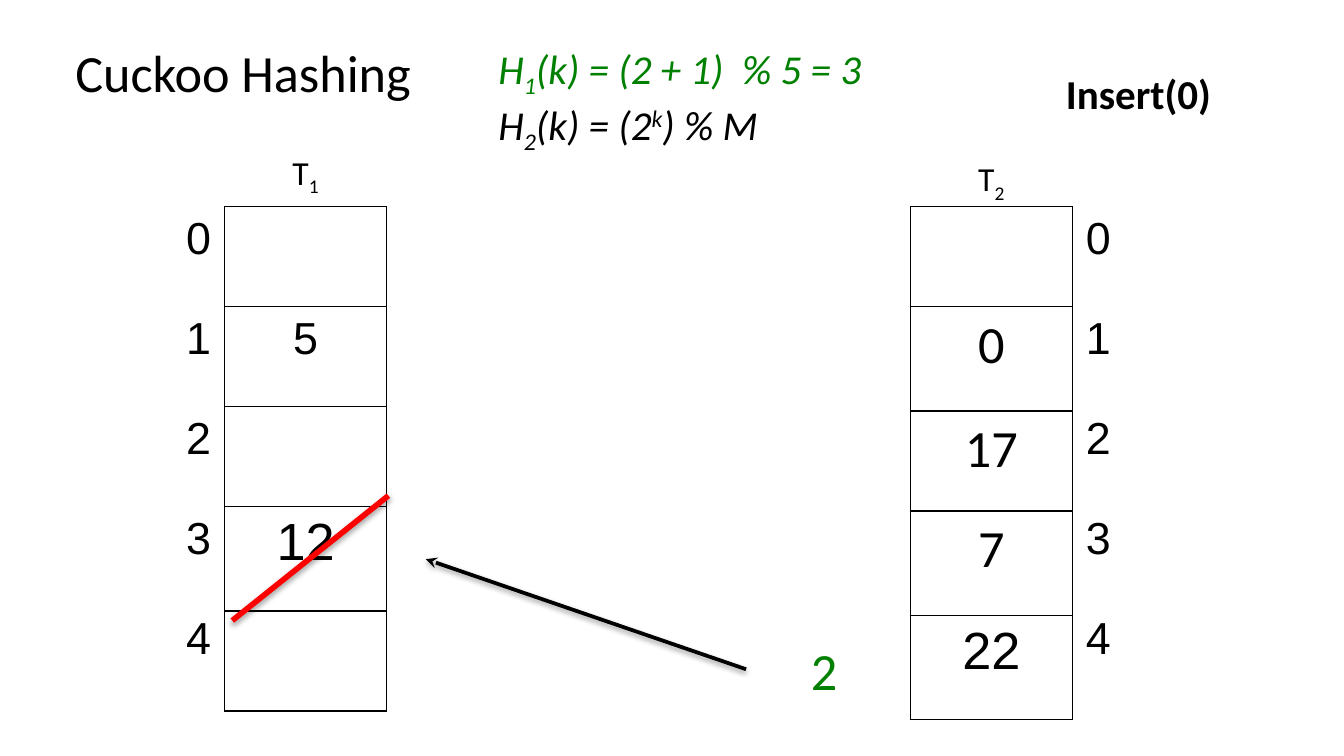
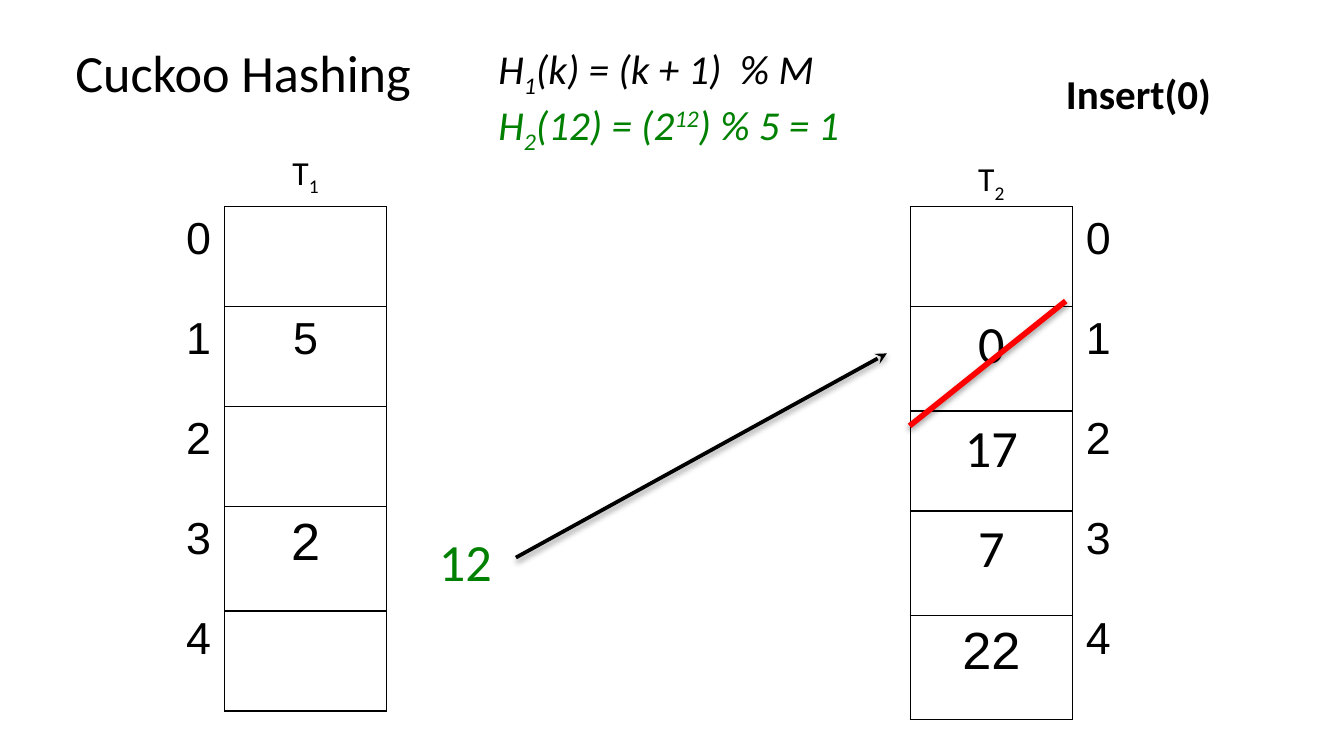
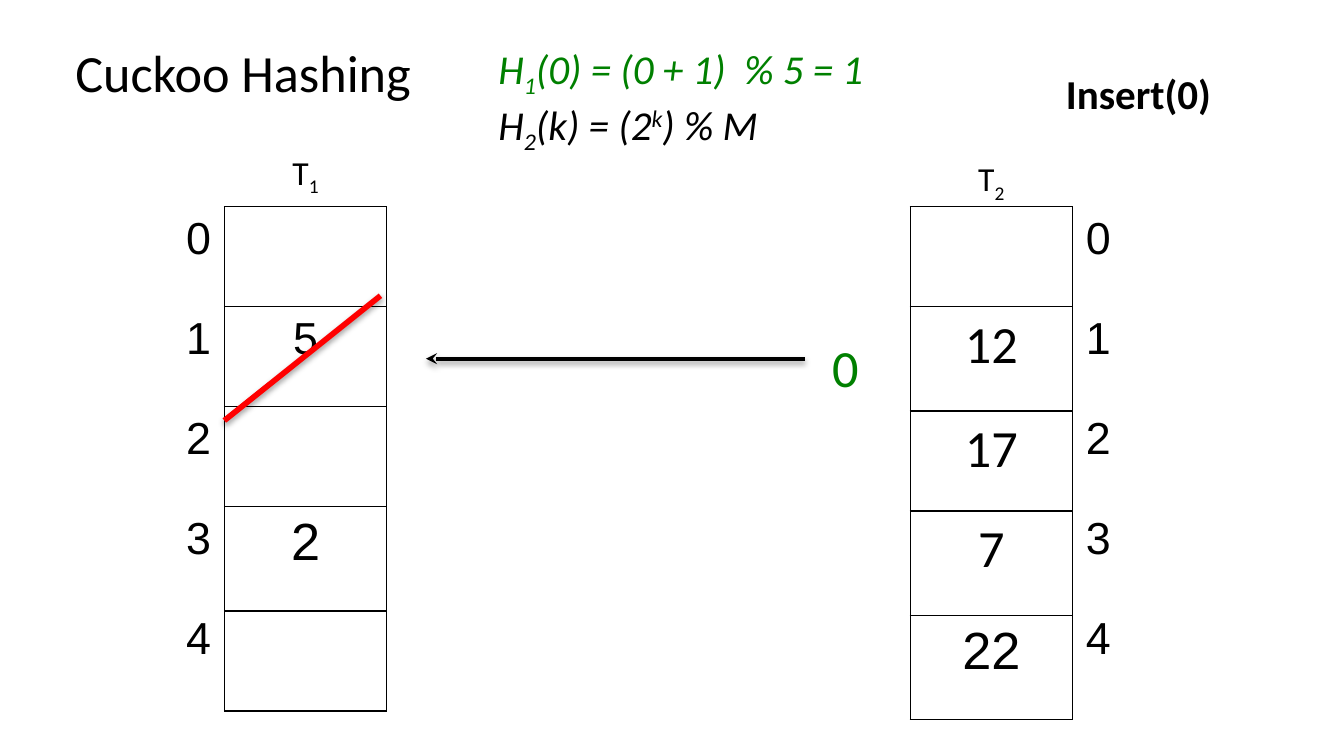
from dataclasses import dataclass

from lxml.etree import SubElement
from pptx import Presentation
from pptx.dml.color import RGBColor
from pptx.enum.shapes import MSO_CONNECTOR
from pptx.enum.text import MSO_ANCHOR, MSO_AUTO_SIZE, PP_ALIGN
from pptx.oxml import parse_xml
from pptx.oxml.ns import nsdecls, qn
from pptx.util import Cm, Pt

BLACK, GREEN, RED = "000000", "008000", "FF0000"
SANS, GRID_FONT = "Calibri", "Arial"
LEFT, CENTER, RIGHT = PP_ALIGN.LEFT, PP_ALIGN.CENTER, PP_ALIGN.RIGHT
NO_GRID_STYLE = "{2D5ABB26-0587-4C30-8999-92F81FD0307C}"
SUB, SUPER = -25, 30

COL_W, ROW_H, TALL_ROW_H = 3.07, 1.89, 1.97
TABLE_TOP, T1_LEFT, T2_LEFT = 3.91, 4.24, 17.2
KEY_W, KEY_H = 2.95, 1.45
STRIKE_W, STRIKE_H = 2.95, 2.36


@dataclass(frozen=True)
class Style:
    size: float
    color: str = BLACK
    font: str = SANS
    bold: bool = False
    italic: bool = False


@dataclass(frozen=True)
class Span:
    text: str
    baseline: int = 0


@dataclass(frozen=True)
class Formula:
    spans: tuple[Span, ...]
    color: str = BLACK


@dataclass(frozen=True)
class Entry:
    text: str = ""
    style: Style = Style(28)


@dataclass(frozen=True)
class Point:
    x: float
    y: float


@dataclass(frozen=True)
class Step:
    h1: Formula
    h2: Formula
    t1_slot3: str
    t2_slot1: str
    moving_key: str
    key_at: Point
    arrow: tuple[Point, Point]
    strike_from: Point


INDEX = Style(24, font=GRID_FONT)
LARGE = Style(28, font=GRID_FONT)


def h1(body: str, color: str = BLACK) -> Formula:
    return Formula((Span("H"), Span("1", SUB), Span(body)), color)


def h2(arg: str, modulus: str, color: str = BLACK) -> Formula:
    return Formula((Span("H"), Span("2", SUB), Span(f"({arg}) = (2"),
                    Span(arg, SUPER), Span(f") % {modulus}")), color)


STEPS = (
    Step(h1("(k) = (2 + 1)  % 5 = 3", GREEN), h2("k", "M"), "12", "0", "2",
         Point(14.1, 11.94), (Point(14.1, 12.65), Point(8.05, 10.57)), Point(7.34, 9.37)),
    Step(h1("(k) = (k + 1)  % M"), h2("12", "5 = 1", GREEN), "2", "0", "12",
         Point(7.32, 9.88), (Point(9.75, 10.54), Point(16.76, 6.68)), Point(20.14, 5.69)),
    Step(h1("(0) = (0 + 1)  % 5 = 1", GREEN), h2("k", "M"), "2", "12", "0",
         Point(14.5, 6.22), (Point(15.21, 6.78), Point(8.05, 6.78)), Point(7.19, 5.59)),
)


def rgb(color: str) -> RGBColor:
    return RGBColor.from_string(color)


def add_run(p, span: Span, style: Style) -> None:
    r = p.add_run()
    r.text = span.text
    f = r.font
    f.name, f.size, f.bold, f.italic = style.font, Pt(style.size), style.bold, style.italic
    f.color.rgb = rgb(style.color)
    if span.baseline:
        f._element.set("baseline", str(span.baseline * 1000))


def add_text(s, left: float, top: float, width: float, height: float,
             spans: tuple[Span, ...], style: Style, align=CENTER):
    tf = s.shapes.add_textbox(Cm(left), Cm(top), Cm(width), Cm(height)).text_frame
    tf.word_wrap = True
    p = tf.paragraphs[0]
    p.alignment = align
    for span in spans:
        add_run(p, span, style)
    return tf


def add_title(s) -> None:
    sp = s.shapes.title
    sp.left, sp.top, sp.width, sp.height = Cm(1.17), Cm(0.64), Cm(6.88), Cm(1.45)
    tf = sp.text_frame
    tf.auto_size, tf.vertical_anchor = MSO_AUTO_SIZE.NONE, MSO_ANCHOR.TOP
    p = tf.paragraphs[0]
    p.alignment = LEFT
    add_run(p, Span("Cuckoo Hashing"), Style(28))


def add_formulas(s, first: Formula, second: Formula) -> None:
    tf = add_text(s, 9.17, 0.69, 8.89, 2.13, first.spans,
                  Style(22, first.color, italic=True), LEFT)
    p = tf.add_paragraph()
    for span in second.spans:
        add_run(p, span, Style(22, second.color, italic=True))


def set_borders(cell) -> None:
    tcPr = cell._tc.get_or_add_tcPr()
    for i, side in enumerate("LRTB"):
        tcPr.insert(i, parse_xml(
            f'<a:ln{side} {nsdecls("a")} w="{Pt(0.75)}"><a:solidFill>'
            f'<a:srgbClr val="{BLACK}"/></a:solidFill></a:ln{side}>'))


def add_column(s, left: float, entries: list[Entry], align=CENTER,
               tall_rows: tuple[int, ...] = (), bordered: bool = True) -> None:
    """Draw a one-column table below the heading line."""
    heights = [TALL_ROW_H if i in tall_rows else ROW_H for i in range(len(entries))]
    table = s.shapes.add_table(len(entries), 1, Cm(left), Cm(TABLE_TOP),
                               Cm(COL_W), Cm(sum(heights))).table
    table.first_row = table.horz_banding = False
    table._tbl.tblPr.find(qn("a:tableStyleId")).text = NO_GRID_STYLE
    for i, (entry, height) in enumerate(zip(entries, heights)):
        table.rows[i].height = Cm(height)
        cell = table.cell(i, 0)
        cell.fill.background()
        if bordered:
            set_borders(cell)
        if entry.text:
            p = cell.text_frame.paragraphs[0]
            p.alignment = align
            add_run(p, Span(entry.text), entry.style)


def add_line(s, start: Point, end: Point, color: str, width: float,
             arrow: bool = False) -> None:
    line = s.shapes.add_connector(MSO_CONNECTOR.STRAIGHT, Cm(start.x), Cm(start.y),
                                  Cm(end.x), Cm(end.y))
    line.line.color.rgb = rgb(color)
    line.line.width = Pt(width)
    spPr = line._element.spPr
    if arrow:
        SubElement(spPr.find(qn("a:ln")), qn("a:tailEnd"), type="stealth")
    spPr.append(parse_xml(
        f'<a:effectLst {nsdecls("a")}><a:outerShdw blurRad="40000" dist="20000" '
        f'dir="5400000" rotWithShape="0"><a:srgbClr val="{BLACK}">'
        '<a:alpha val="38000"/></a:srgbClr></a:outerShdw></a:effectLst>'))


def add_hash_tables(s, step: Step) -> None:
    indexes = [Entry(str(i), INDEX) for i in range(5)]
    t1 = [Entry(), Entry("5", INDEX), Entry(), Entry(step.t1_slot3, LARGE), Entry()]
    t2 = [Entry(), Entry(step.t2_slot1), Entry("17"), Entry("7"), Entry("22", LARGE)]
    add_column(s, T1_LEFT, t1, tall_rows=(3,))
    add_column(s, T1_LEFT - COL_W, indexes, RIGHT, bordered=False)
    add_column(s, T2_LEFT, t2, tall_rows=(1, 3, 4))
    add_column(s, T2_LEFT + COL_W, indexes, LEFT, bordered=False)
    for number, left, top in (("1", T1_LEFT, 2.74), ("2", T2_LEFT, 2.87)):
        add_text(s, left, top, COL_W, 1.02, (Span("T"), Span(number, SUB)), Style(18))


def add_step(prs, step: Step) -> None:
    s = prs.slides.add_slide(prs.slide_layouts[5])
    add_title(s)
    add_formulas(s, step.h1, step.h2)
    add_hash_tables(s, step)
    add_text(s, 19.43, 1.17, 4.17, 1.19, (Span("Insert(0)"),), Style(22, bold=True))
    add_text(s, step.key_at.x, step.key_at.y, KEY_W, KEY_H,
             (Span(step.moving_key),), Style(28, GREEN))
    add_line(s, *step.arrow, BLACK, 2, arrow=True)
    top = step.strike_from
    add_line(s, top, Point(top.x - STRIKE_W, top.y + STRIKE_H), RED, 3)


def main() -> None:
    prs = Presentation()
    prs.slide_width, prs.slide_height = Cm(25.4), Cm(14.29)
    for step in STEPS:
        add_step(prs, step)
    prs.save("out.pptx")


if __name__ == "__main__":
    main()
